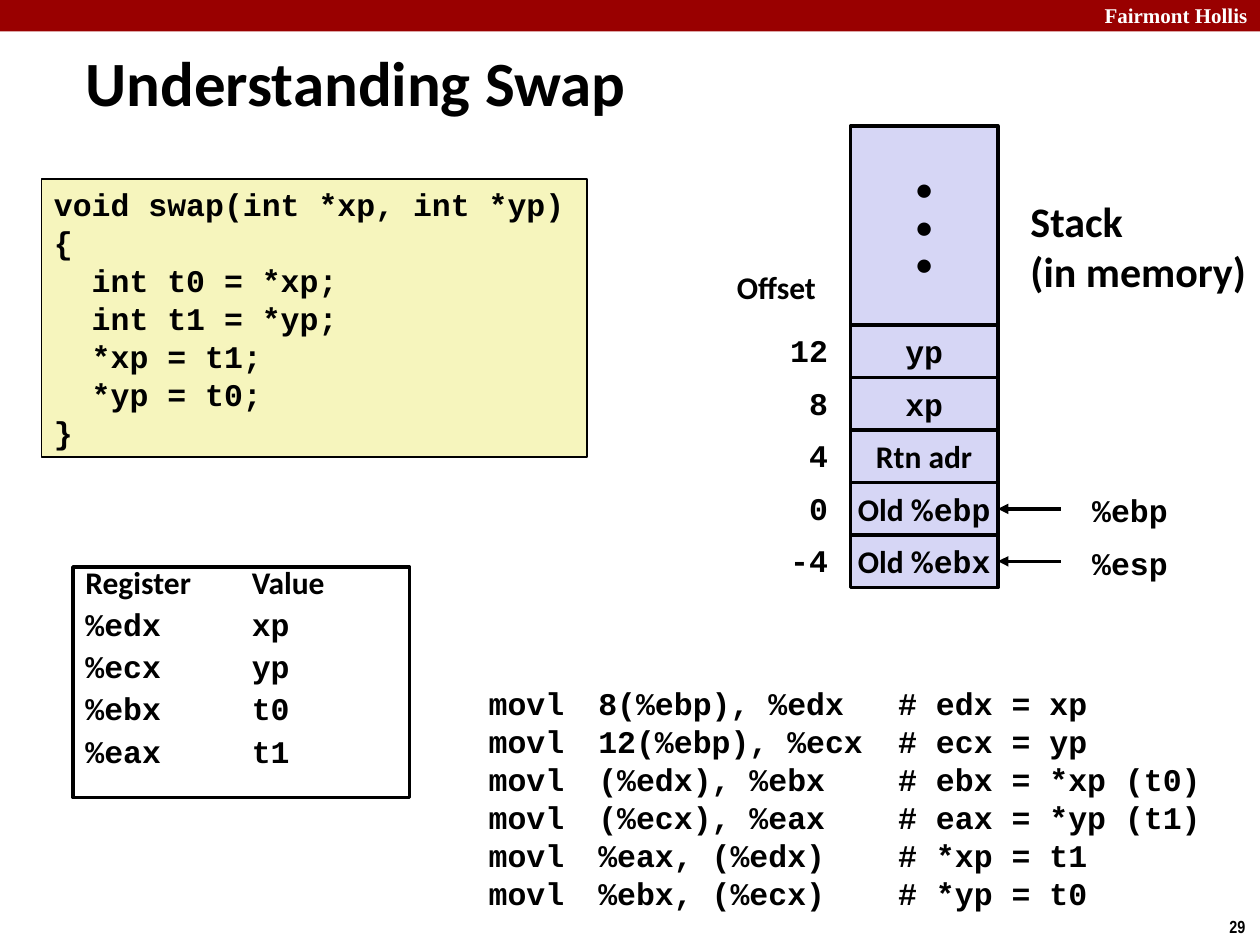
import pptx
import pptx.util
import pptx.dml.color
import pptx.enum.shapes
import pptx.enum.text
import pptx.oxml.ns
import lxml.etree

Inches, Pt = pptx.util.Inches, pptx.util.Pt
RECT = pptx.enum.shapes.MSO_SHAPE.RECTANGLE
ALIGN = pptx.enum.text.PP_ALIGN
ANCHOR = pptx.enum.text.MSO_ANCHOR
SANS, MONO = "Calibri", "Courier New"
COLORS = {"banner": "990000", "code": "F6F5BD", "stack": "D6D6F5",
          "ink": "000000", "paper": "FFFFFF"}


def rgb(name):
    """Return a palette colour."""
    return pptx.dml.color.RGBColor.from_string(COLORS[name])


def write(tf, lines, font=SANS, size=18, color="ink", align=ALIGN.LEFT,
          anchor=ANCHOR.TOP, wrap=False, spacing=None, before=0, tabs=()):
    """Fill a text frame; each line is a string or a list of (text, font) runs."""
    tf.word_wrap = wrap
    tf.vertical_anchor = anchor
    for i, line in enumerate(lines):
        p = tf.paragraphs[0] if i == 0 else tf.add_paragraph()
        p.alignment = align
        p.space_before = Pt(before)
        if spacing:
            p.line_spacing = spacing
        for text, face in [(line, font)] if isinstance(line, str) else line:
            r = p.add_run()
            r.text = text
            r.font.name, r.font.size, r.font.bold = face, Pt(size), True
            r.font.color.rgb = rgb(color)
        if tabs:
            tab_list = lxml.etree.SubElement(p._p.get_or_add_pPr(), pptx.oxml.ns.qn("a:tabLst"))
            for pos in tabs:
                lxml.etree.SubElement(tab_list, pptx.oxml.ns.qn("a:tab"), pos=str(Inches(pos)), algn="l")


def add_text(s, box, lines, **style):
    """Add a text box."""
    sp = s.shapes.add_textbox(*map(Inches, box))
    write(sp.text_frame, lines, **style)


def add_rect(s, box, fill=None, line=2, lines=(), **style):
    """Add a rectangle with an optional fill, outline and text."""
    sp = s.shapes.add_shape(RECT, *map(Inches, box))
    sp.shadow.inherit = False
    if fill:
        sp.fill.solid()
        sp.fill.fore_color.rgb = rgb(fill)
    else:
        sp.fill.background()
    if line:
        sp.line.color.rgb = rgb("ink")
        sp.line.width = Pt(line)
    else:
        sp.line.fill.background()
    if lines:
        write(sp.text_frame, lines, **style)


def add_arrow(s, x1, x2, y):
    """Add a horizontal arrow that points at x2."""
    c = s.shapes.add_connector(pptx.enum.shapes.MSO_CONNECTOR.STRAIGHT,
                               Inches(x1), Inches(y), Inches(x2), Inches(y))
    c.line.color.rgb = rgb("ink")
    c.line.width = Pt(2)
    lxml.etree.SubElement(c.line._get_or_add_ln(), pptx.oxml.ns.qn("a:tailEnd"), type="triangle")
    lxml.etree.SubElement(c._element.spPr, pptx.oxml.ns.qn("a:effectLst"))


def build_frame(s, width, height, title, school, number):
    """Place the banner, the title and the slide number."""
    add_rect(s, (0, 0, width, 0.25), "banner", line=0)
    add_text(s, (width - 1.6, -0.03, 1.6, 0.3), [school], font="Times New Roman", size=12,
             color="paper", align=ALIGN.RIGHT)
    add_text(s, (width - 0.34, height - 0.28, 0.34, 0.27), [number], font="Arial Narrow", size=10)
    sp = s.shapes.title
    sp.left, sp.top, sp.width, sp.height = map(Inches, (0.58, 0.33, 6.97, 0.63))
    write(sp.text_frame, [title], size=36, anchor=ANCHOR.MIDDLE, wrap=True)


def build_stack(s, left, top, width, cells):
    """Draw the stack with its offsets and register pointers."""
    head, row = 1.58, 1.25 / 3
    style = {"align": ALIGN.CENTER, "anchor": ANCHOR.MIDDLE}
    add_rect(s, (left, top, width, head), "stack", lines=["•"] * 3, **style)
    add_text(s, (left - 1, top + head - 0.5, 0.84, 0.4), ["Offset"])
    add_text(s, (left + 1.33, top + 0.5, 1.92, 0.91), ["Stack", "(in memory)"], size=24)
    for i, (offset, runs, pointer) in enumerate(cells):
        y = top + head + i * row
        add_rect(s, (left, y, width, row), "stack", lines=[runs], **style)
        add_text(s, (left - 0.58, y, 0.5, 0.4), [offset], font=MONO, align=ALIGN.RIGHT)
        if pointer:
            add_arrow(s, left + width + 0.5, left + width, y + row / 2)
            add_text(s, (left + width + 0.65, y + 0.02, 0.8, 0.4), [pointer], font=MONO)


def build_registers(s, box, rows):
    """Draw the framed list of registers and values."""
    lines = [[("Register\tValue", SANS)]] + [[("\t".join(row), MONO)] for row in rows]
    add_rect(s, box, lines=lines, wrap=True, spacing=0.7, before=9, tabs=(1.32,))


def build_code(s, box, code):
    """Draw the C function in its panel."""
    add_rect(s, box, "code", line=1, lines=code, font=MONO, wrap=True, spacing=Pt(21.7))


def build_assembly(s, box, rows):
    """Write the instructions in three tabbed columns."""
    add_text(s, box, ["\tmovl\t%s\t# %s" % row for row in rows], font=MONO, wrap=True,
             spacing=Pt(21.7), tabs=(0.44, 1.31, 3.69))


prs = pptx.Presentation()
prs.slide_width, prs.slide_height = Inches(10), Inches(7.5)
s = prs.slides.add_slide(prs.slide_layouts[5])
build_frame(s, 10, 7.5, "Understanding Swap", "Fairmont Hollis", "29")
build_code(s, (0.33, 1.42, 4.33, 2.21), [
    "void swap(int *xp, int *yp)", "{", "  int t0 = *xp;", "  int t1 = *yp;",
    "  *xp = t1;", "  *yp = t0;", "}"])
build_registers(s, (0.58, 4.5, 2.67, 1.83), [
    ("%edx", "xp"), ("%ecx", "yp"), ("%ebx", "t0"), ("%eax", "t1")])
build_stack(s, 6.75, 1, 1.17, [
    ("12", [("yp", MONO)], None),
    ("8", [("xp", MONO)], None),
    ("4", [("Rtn adr", SANS)], None),
    ("0", [("Old %", SANS), ("ebp", MONO)], "%ebp"),
    ("-4", [("Old %", SANS), ("ebx", MONO)], "%esp")])
build_assembly(s, (3.34, 5.38, 6.5, 1.92), [
    ("8(%ebp), %edx", "edx = xp"), ("12(%ebp), %ecx", "ecx = yp"),
    ("(%edx), %ebx", "ebx = *xp (t0)"), ("(%ecx), %eax", "eax = *yp (t1)"),
    ("%eax, (%edx)", "*xp = t1"), ("%ebx, (%ecx)", "*yp = t0")])
prs.save("out.pptx")
